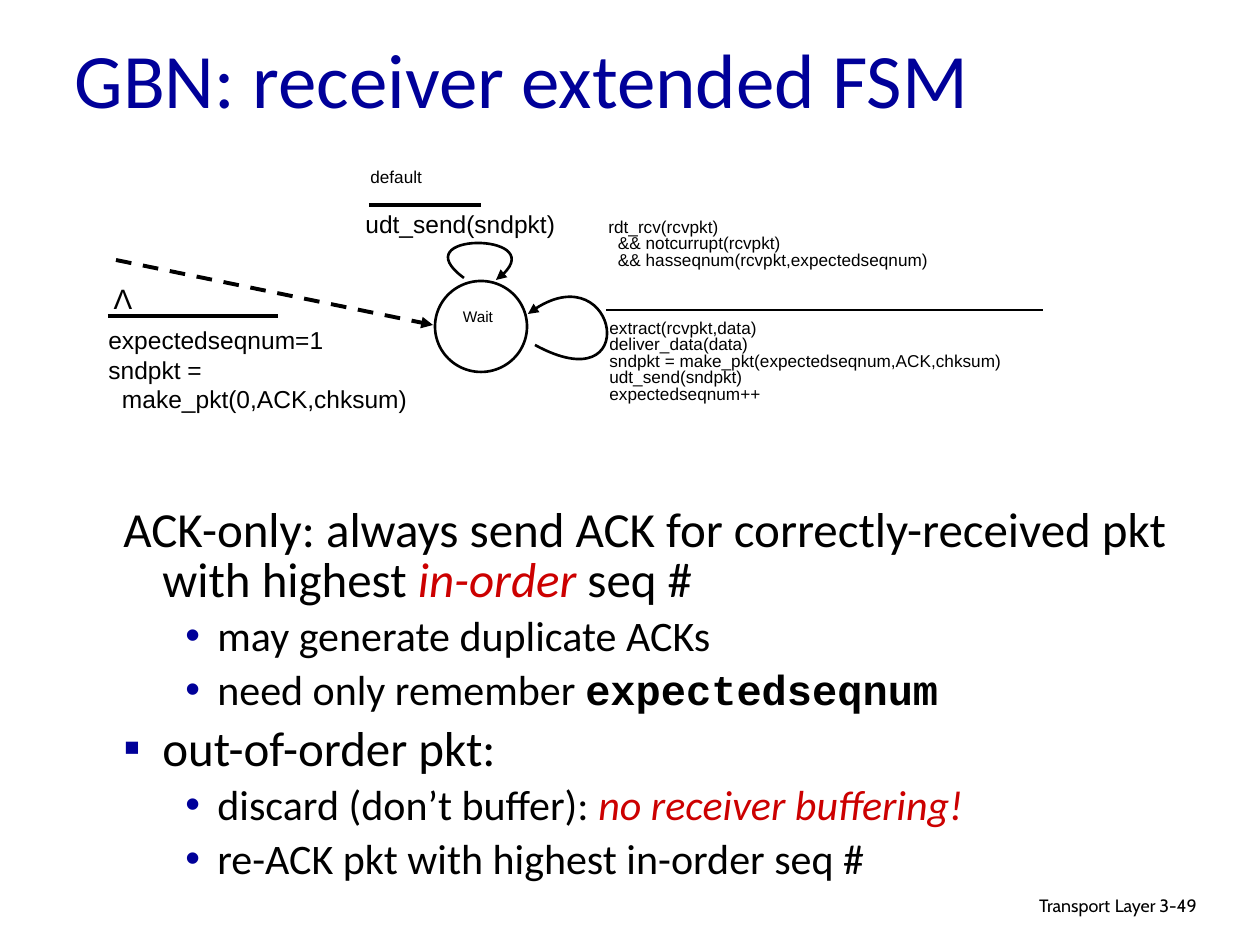
from dataclasses import dataclass

from lxml.etree import SubElement
from pptx import Presentation
from pptx.dml.color import RGBColor
from pptx.enum.dml import MSO_LINE
from pptx.enum.shapes import MSO_CONNECTOR, MSO_SHAPE
from pptx.enum.text import MSO_ANCHOR, MSO_AUTO_SIZE, PP_ALIGN
from pptx.oxml.ns import qn
from pptx.util import Emu, Pt

PX = 914400 / 126


@dataclass(frozen=True)
class Theme:
    ink: str = "000000"
    accent: str = "000099"
    emphasis: str = "CC0000"
    paper: str = "FFFFFF"
    sans: str = "Calibri"
    label: str = "Arial"
    code: str = "Courier New"
    footer: str = "Cabin"
    title_size: float = 44
    body_sizes: tuple = (28, 24)
    symbol_size: float = 16
    action_size: float = 14
    rule_size: float = 9.8
    state_size: float = 8.8
    footer_size: float = 10.2
    footer_gap_size: float = 11.9
    thin: float = 1.5
    thick: float = 2.25


THEME = Theme()

TITLE = ("GBN: receiver extended FSM", (62, 29, 1071, 97))

EMPHASIS = {"color": THEME.emphasis, "italic": True}
CODE = {"name": THEME.code, "bold": True}
BODY_AREA = (111, 501, 1123, 393)
# level, bullet, spans
BODY = [
    (0, None, [("ACK-only: always send ACK for correctly-received pkt with highest ", {}),
               ("in-order", EMPHASIS), (" seq #", {})]),
    (1, "•", [("may generate duplicate ACKs", {})]),
    (1, "•", [("need only remember ", {}), ("expectedseqnum", CODE)]),
    (0, "▪", [("out-of-order pkt:", {})]),
    (1, "•", [("discard (don’t buffer): ", {}), ("no receiver buffering!", EMPHASIS)]),
    (1, "•", [("re-ACK pkt with highest in-order seq #", {})]),
]
# left margin px, hanging px, space before pt
LEVELS = [(39, 39, 7), (94, 32, 6)]

STATE_AREA = (435, 281, 92, 91)
# area, lines, size, line spacing, alignment
LABELS = [
    ((423, 305, 110, 33), ["Wait"], THEME.state_size, 0.8, PP_ALIGN.CENTER),
    ((358, 164, 100, 34), ["default"], THEME.rule_size, 0.8, PP_ALIGN.LEFT),
    ((353, 203, 223, 43), ["udt_send(sndpkt)"], THEME.action_size, 1.0, PP_ALIGN.LEFT),
    ((596, 214, 491, 78),
     ["rdt_rcv(rcvpkt)", "  && notcurrupt(rcvpkt)",
      "  && hasseqnum(rcvpkt,expectedseqnum)"],
     THEME.rule_size, 0.8, PP_ALIGN.LEFT),
    ((597, 315, 595, 118),
     ["extract(rcvpkt,data)", "deliver_data(data)",
      "sndpkt = make_pkt(expectedseqnum,ACK,chksum)", "udt_send(sndpkt)",
      "expectedseqnum++"],
     THEME.rule_size, 0.8, PP_ALIGN.LEFT),
    ((101, 275, 44, 47), ["Λ"], THEME.symbol_size, 1.0, PP_ALIGN.CENTER),
    ((96, 319, 501, 135),
     ["expectedseqnum=1", "sndpkt =", "  make_pkt(0,ACK,chksum)"],
     THEME.action_size, 1.0, PP_ALIGN.LEFT),
]
# start, end, width
DIVIDERS = [
    ((369, 205), (481, 205), THEME.thick),
    ((606, 310), (1043, 310), THEME.thin),
    ((108, 316), (278, 316), THEME.thick),
]
START_ARROW = ((116, 260), (433, 325), THEME.thick)
# start, two control points, end
LOOPS = [
    [(464, 278), (401, 232), (561, 232), (496, 280)],
    [(535, 345), (643, 404), (617, 246), (528, 314)],
]

FOOTER = {"name": THEME.footer}
# area, spans, alignment
FOOTERS = [
    ((769, 888, 399, 39),
     [("Transport", FOOTER), (" ", FOOTER | {"size": THEME.footer_gap_size}),
      ("Layer", FOOTER)], PP_ALIGN.RIGHT),
    ((1147, 891, 93, 38), [("3-49", FOOTER)], PP_ALIGN.LEFT),
]


def px(*values):
    return [Emu(round(value * PX)) for value in values]


def add_span(para, text, size, name=THEME.sans, color=THEME.ink, bold=False, italic=False):
    span = para.add_run()
    span.text = text
    font = span.font
    font.size, font.name, font.bold, font.italic = Pt(size), name, bold, italic
    font.color.rgb = RGBColor.from_string(color)


def add_box(page, area):
    box = page.shapes.add_textbox(*px(*area))
    box.text_frame.word_wrap = True
    return box.text_frame


def add_para(frame, index):
    return frame.add_paragraph() if index else frame.paragraphs[0]


def style_line(shape, width, arrow=False):
    shape.line.color.rgb = RGBColor.from_string(THEME.ink)
    shape.line.width = Pt(width)
    if arrow:
        SubElement(shape.line._get_or_add_ln(), qn("a:tailEnd"), type="triangle")


def add_line(page, start, end, width, dashed_arrow=False):
    line = page.shapes.add_connector(MSO_CONNECTOR.STRAIGHT, *px(*start, *end))
    if dashed_arrow:
        line.line.dash_style = MSO_LINE.DASH
    style_line(line, width, dashed_arrow)
    SubElement(line._element.spPr, qn("a:effectLst"))


def add_loop(page, points):
    """Draw one cubic curve with an arrowhead, turning straight segments into a Bézier."""
    builder = page.shapes.build_freeform(*points[0], scale=PX)
    builder.add_line_segments(points[1:], close=False)
    loop = builder.convert_to_shape()
    outline = loop._element.find(".//" + qn("a:path"))
    curve = SubElement(outline, qn("a:cubicBezTo"))
    for segment in outline.findall(qn("a:lnTo")):
        curve.append(segment[0])
        outline.remove(segment)
    loop.shadow.inherit = False
    loop.fill.background()
    style_line(loop, THEME.thin, arrow=True)


def set_bullet(para, level, bullet):
    margin, hanging, _ = LEVELS[level]
    props = para._p.get_or_add_pPr()
    props.set("marL", str(px(margin)[0]))
    props.set("indent", str(-px(hanging)[0]))
    if bullet:
        color = SubElement(props, qn("a:buClr"))
        SubElement(color, qn("a:srgbClr"), val=THEME.accent)
        SubElement(props, qn("a:buFont"), typeface=THEME.label)
        SubElement(props, qn("a:buChar"), char=bullet)
    else:
        SubElement(props, qn("a:buNone"))


def add_title(page):
    text, area = TITLE
    title = page.shapes.title
    title.left, title.top, title.width, title.height = px(*area)
    frame = title.text_frame
    frame.auto_size = MSO_AUTO_SIZE.NONE
    frame.vertical_anchor = MSO_ANCHOR.MIDDLE
    para = frame.paragraphs[0]
    para.alignment = PP_ALIGN.LEFT
    add_span(para, text, THEME.title_size, color=THEME.accent)


def add_body(page):
    frame = add_box(page, BODY_AREA)
    for index, (level, bullet, spans) in enumerate(BODY):
        para = add_para(frame, index)
        para.level = level
        set_bullet(para, level, bullet)
        para.line_spacing = 0.85
        para.space_before = Pt(LEVELS[level][2] if index else 0)
        for text, style in spans:
            add_span(para, text, THEME.body_sizes[level], **style)


def add_machine(page):
    state = page.shapes.add_shape(MSO_SHAPE.OVAL, *px(*STATE_AREA))
    state.shadow.inherit = False
    state.fill.solid()
    state.fill.fore_color.rgb = RGBColor.from_string(THEME.paper)
    style_line(state, THEME.thin)
    for divider in DIVIDERS:
        add_line(page, *divider)
    add_line(page, *START_ARROW, dashed_arrow=True)
    for points in LOOPS:
        add_loop(page, points)
    for area, lines, size, spacing, alignment in LABELS:
        frame = add_box(page, area)
        for index, text in enumerate(lines):
            para = add_para(frame, index)
            para.line_spacing, para.alignment = spacing, alignment
            add_span(para, text, size, THEME.label)


def add_footers(page):
    for area, spans, alignment in FOOTERS:
        para = add_box(page, area).paragraphs[0]
        para.line_spacing, para.alignment = 0.9, alignment
        for text, style in spans:
            add_span(para, text, **({"size": THEME.footer_size} | style))


def main():
    deck = Presentation()
    deck.slide_width, deck.slide_height = px(1260, 945)
    page = deck.slides.add_slide(deck.slide_layouts[5])
    add_title(page)
    add_footers(page)
    add_body(page)
    add_machine(page)
    deck.save("out.pptx")


if __name__ == "__main__":
    main()
